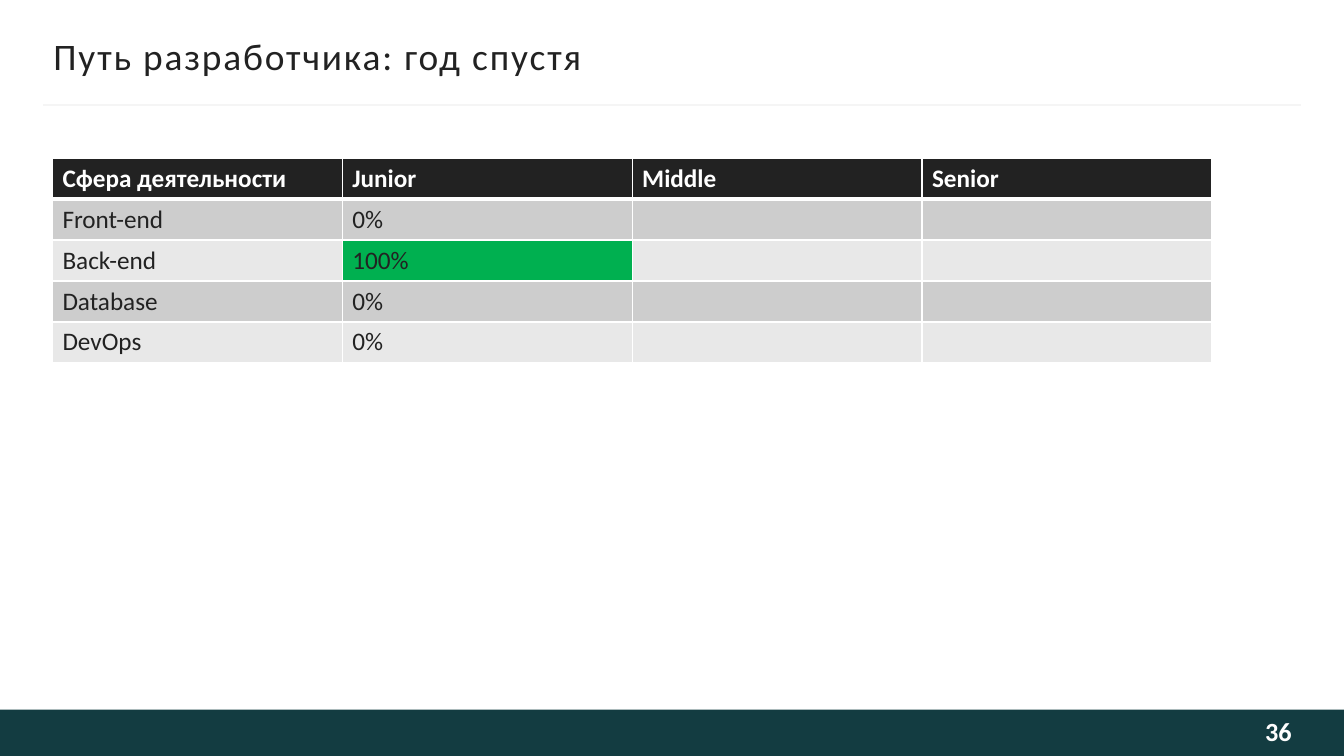
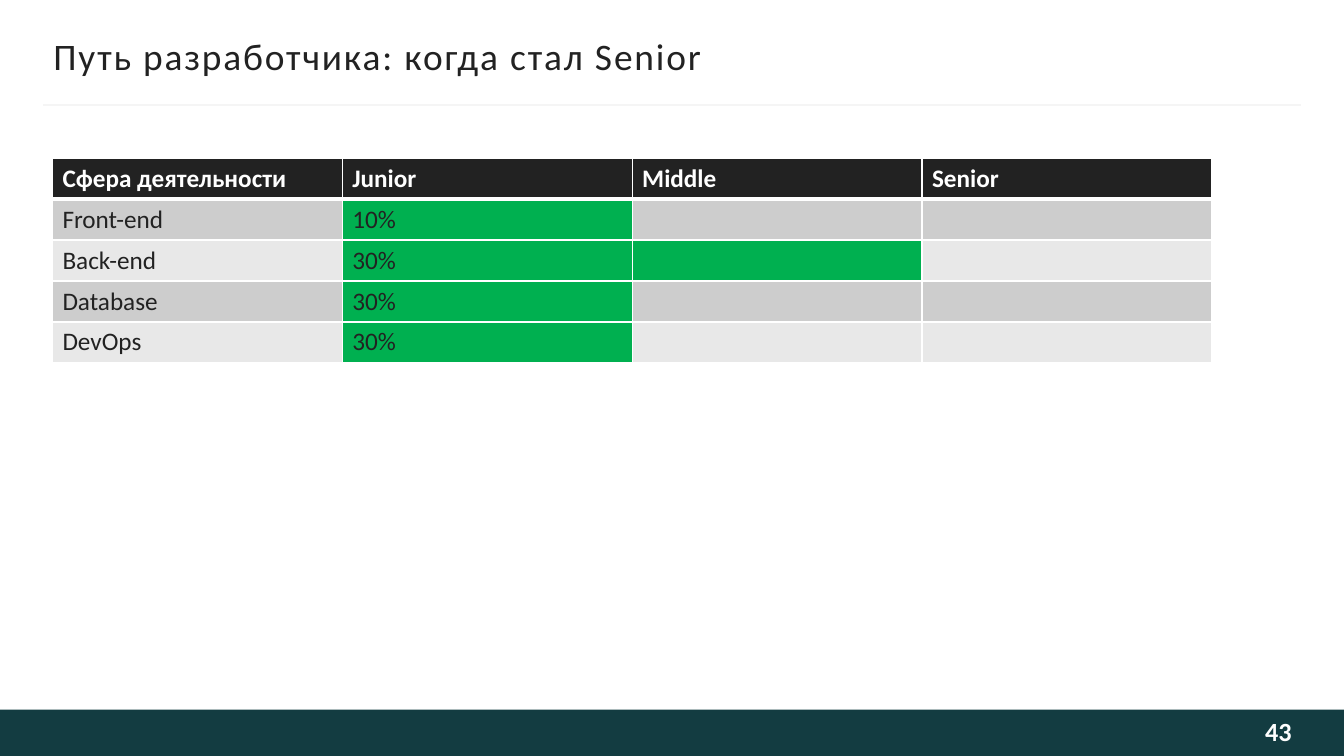
from dataclasses import dataclass

from pptx import Presentation
from pptx import util as u
from pptx.dml.color import RGBColor
from pptx.enum import shapes, text
from pptx.oxml import ns, xmlchemy


@dataclass(frozen=True)
class Theme:
    font: str = "Calibri"
    ink: str = "222222"
    white: str = "FFFFFF"
    number_ink: str = "FEFEFE"
    band: str = "133C41"
    rule: str = "F5F5F5"
    stripes: tuple = ("CDCDCD", "E8E8E8")
    reached: str = "00B050"
    title_size: float = 26.7
    title_spacing: float = 1.3
    table_size: float = 18
    number_size: float = 18.7
    rule_width: float = 1.5
    grid_width: float = 1
    header_rule_width: float = 3


class Deck:
    def __init__(self, theme):
        self.theme = theme
        self.presentation = Presentation()
        self.presentation.slide_width = u.Inches(13.33)
        self.presentation.slide_height = u.Inches(7.5)
        self.slide = None

    def add_slide(self, title, number):
        blank = self.presentation.slide_layouts[6]
        self.slide = self.presentation.slides.add_slide(blank)
        self.footer_band()
        self.title_rule()
        self.title(title)
        self.page_number(number)

    def style(self, paragraph, size, color, bold=False):
        for run in paragraph.runs:
            run.font.name = self.theme.font
            run.font.size = u.Pt(size)
            run.font.bold = bold
            run.font.color.rgb = RGBColor.from_string(color)

    def footer_band(self):
        band = self.slide.shapes.add_shape(
            shapes.MSO_SHAPE.RECTANGLE,
            u.Inches(0), u.Inches(7.04), u.Inches(13.33), u.Inches(0.46))
        band.shadow.inherit = False
        band.fill.solid()
        band.fill.fore_color.rgb = RGBColor.from_string(self.theme.band)
        band.line.fill.background()

    def title_rule(self):
        rule = self.slide.shapes.add_connector(
            shapes.MSO_CONNECTOR.STRAIGHT,
            u.Inches(0.43), u.Inches(1.04), u.Inches(12.9), u.Inches(1.04))
        rule.line.color.rgb = RGBColor.from_string(self.theme.rule)
        rule.line.width = u.Pt(self.theme.rule_width)
        rule._element.spPr.append(xmlchemy.OxmlElement("a:effectLst"))

    def text_box(self, content, place, insets):
        box = self.slide.shapes.add_textbox(*map(u.Inches, place))
        frame = box.text_frame
        frame.word_wrap = True
        frame.vertical_anchor = text.MSO_ANCHOR.MIDDLE
        (frame.margin_left, frame.margin_top,
         frame.margin_right, frame.margin_bottom) = map(u.Inches, insets)
        frame.text = content
        return frame.paragraphs[0]

    def title(self, content):
        heading = self.text_box(
            content, (0.53, 0.33, 12.29, 0.44), (0, 0.05, 0, 0.05))
        self.style(heading, self.theme.title_size, self.theme.ink)
        spacing = str(round(self.theme.title_spacing * 100))
        heading.runs[0]._r.get_or_add_rPr().set("spc", spacing)

    def page_number(self, number):
        folio = self.text_box(
            str(number), (10.81, 7.04, 2, 0.46), (0.1, 0.05, 0, 0.09))
        folio.alignment = text.PP_ALIGN.RIGHT
        self.style(folio, self.theme.number_size, self.theme.number_ink, True)

    def cell_borders(self, cell, widths):
        properties = cell._tc.get_or_add_tcPr()
        for side, width in zip("LRTB", widths):
            border = xmlchemy.OxmlElement(f"a:ln{side}")
            border.set("w", str(u.Pt(width)))
            fill = xmlchemy.OxmlElement("a:solidFill")
            color = xmlchemy.OxmlElement("a:srgbClr")
            color.set("val", self.theme.white)
            fill.append(color)
            border.append(fill)
            properties.append(border)

    def progress_table(self, rows, reached):
        theme = self.theme
        grid = self.slide.shapes.add_table(
            len(rows), len(rows[0]),
            u.Inches(0.52), u.Inches(1.57), u.Inches(11.5), u.Inches(2.03)).table
        thin, thick = theme.grid_width, theme.header_rule_width
        for r, row in enumerate(rows):
            header = r == 0
            top = thick if r == 1 else thin
            bottom = thick if header else thin
            for c, content in enumerate(row):
                if header:
                    fill = theme.ink
                elif (r, c) in reached:
                    fill = theme.reached
                else:
                    fill = theme.stripes[(r - 1) % 2]
                cell = grid.cell(r, c)
                self.cell_borders(cell, (thin, thin, top, bottom))
                cell.fill.solid()
                cell.fill.fore_color.rgb = RGBColor.from_string(fill)
                cell.text_frame.text = content
                self.style(cell.text_frame.paragraphs[0], theme.table_size,
                           theme.white if header else theme.ink, header)


LEVELS = ["Сфера деятельности", "Junior", "Middle", "Senior"]
AREAS = ["Front-end", "Back-end", "Database", "DevOps"]
STAGES = [
    ("Путь разработчика: год спустя", 36,
     ["0%", "100%", "0%", "0%"], {(2, 1)}),
    ("Путь разработчика: когда стал Senior", 43,
     ["10%", "30%", "30%", "30%"], {(1, 1), (2, 1), (3, 1), (4, 1), (2, 2)}),
]


def main():
    deck = Deck(Theme())
    for title, number, shares, reached in STAGES:
        deck.add_slide(title, number)
        rows = [[area, share, "", ""] for area, share in zip(AREAS, shares)]
        deck.progress_table([LEVELS] + rows, reached)
    deck.presentation.save("out.pptx")


if __name__ == "__main__":
    main()
